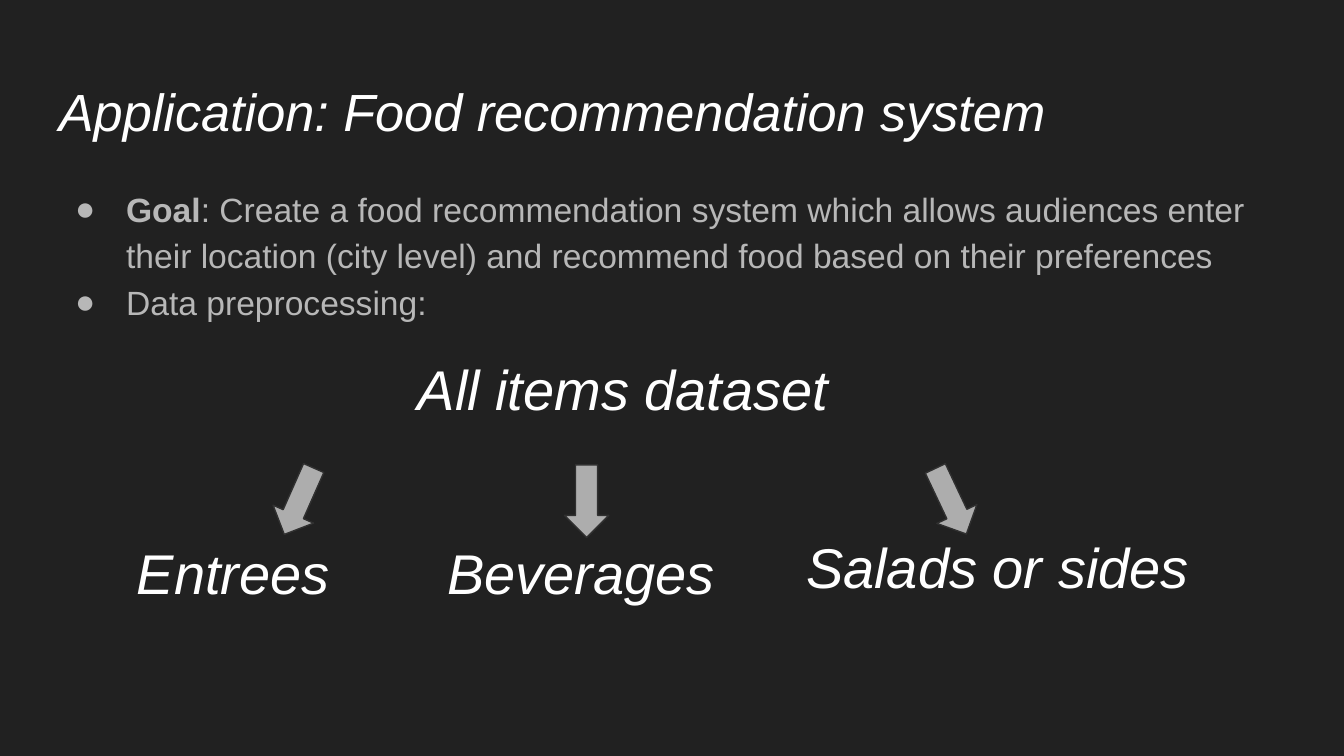
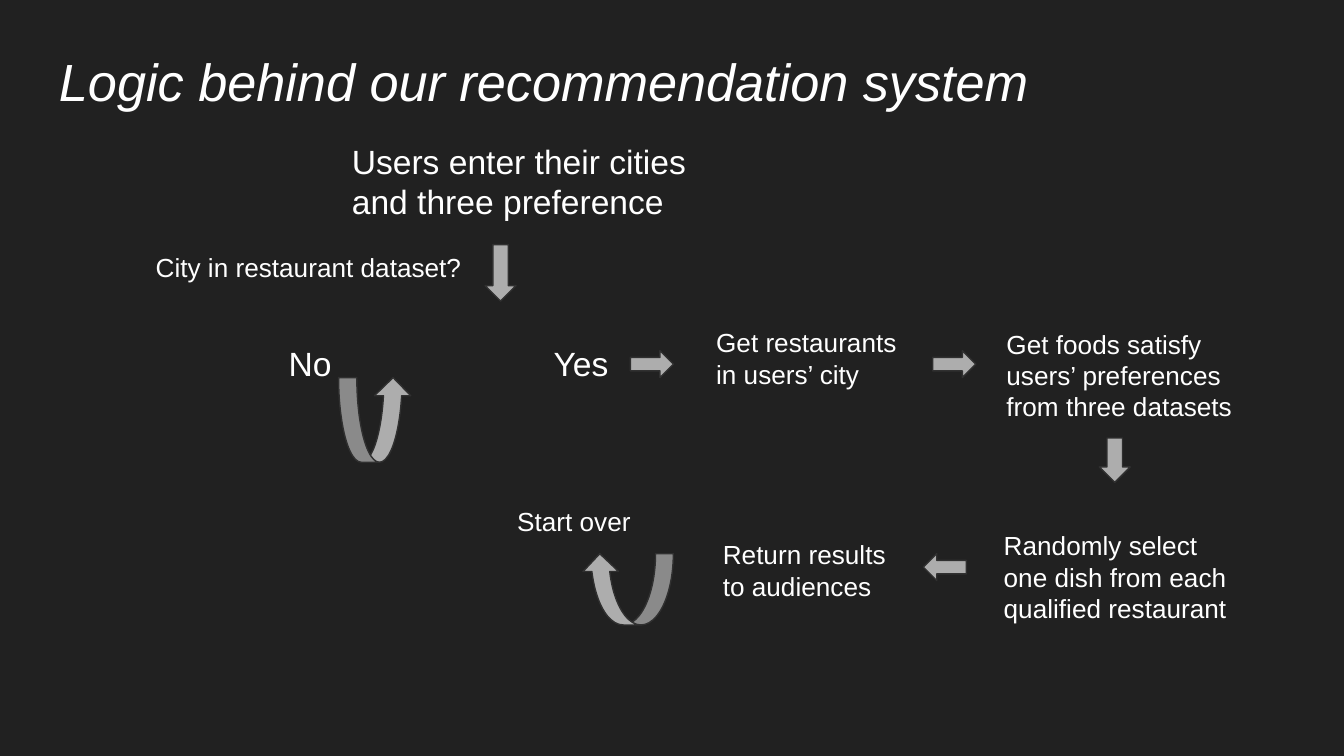
import dataclasses

import pptx
import pptx.dml.color
import pptx.enum.shapes
import pptx.enum.text
import pptx.oxml.ns
import pptx.util
from lxml import etree

PX = pptx.util.Inches(1) // 100
ARROW = pptx.enum.shapes.MSO_SHAPE


@dataclasses.dataclass(frozen=True)
class Theme:
    font: str = "Arial"
    background: str = "212121"
    heading: str = "FFFFFF"
    body: str = "B7B7B7"
    arrow: str = "ADADAD"
    outline: str = "303030"
    title_size: int = 28
    item_size: int = 30
    body_size: int = 18
    step_size: int = 14
    outline_width: float = 0.75


@dataclasses.dataclass(frozen=True)
class Box:
    left: int
    top: int
    width: int
    height: int

    def inside(self, left, top, width, height):
        """A box whose corner is measured from this one's corner."""
        return Box(self.left + left, self.top + top, width, height)

    def emu(self):
        return [length * PX for length in dataclasses.astuple(self)]


THEME = Theme()


def rgb(color):
    return pptx.dml.color.RGBColor.from_string(color)


def style_span(span, size, color, italic=False, bold=False):
    span.font.name = THEME.font
    span.font.size = pptx.util.Pt(size)
    span.font.color.rgb = rgb(color)
    span.font.italic = italic
    span.font.bold = bold


def add_frame(page, box):
    frame = page.shapes.add_textbox(*box.emu()).text_frame
    frame.word_wrap = True
    frame.auto_size = pptx.enum.text.MSO_AUTO_SIZE.NONE
    frame.margin_left = frame.margin_right = 10 * PX
    frame.margin_top = frame.margin_bottom = 10 * PX
    return frame


def add_label(page, box, text, size=THEME.step_size, italic=False):
    frame = add_frame(page, box)
    frame.text = text
    style_span(frame.paragraphs[0].runs[0], size, THEME.heading, italic)


def add_arrow(page, box, kind, rotation=0):
    arrow = page.shapes.add_shape(kind, *box.emu())
    arrow.rotation = rotation
    arrow.shadow.inherit = False
    arrow.fill.solid()
    arrow.fill.fore_color.rgb = rgb(THEME.arrow)
    arrow.line.color.rgb = rgb(THEME.outline)
    arrow.line.width = pptx.util.Pt(THEME.outline_width)


def add_bullet(para):
    properties = para._p.get_or_add_pPr()
    properties.set("marL", str(50 * PX))
    properties.set("indent", str(-38 * PX))
    tag = pptx.oxml.ns.qn
    color = etree.SubElement(properties, tag("a:buClr"))
    etree.SubElement(color, tag("a:srgbClr"), val=THEME.body)
    etree.SubElement(properties, tag("a:buFont"), typeface=THEME.font)
    etree.SubElement(properties, tag("a:buChar"), char="●")
    para.line_spacing = 1.15


def add_page(deck, title, title_top):
    page = deck.slides.add_slide(deck.slide_layouts[6])
    add_label(page, Box(34, title_top, 932, 63), title, THEME.title_size, italic=True)
    return page


def add_bullets(page, box, items):
    """Each item is a bold lead and the plain text after it."""
    frame = add_frame(page, box)
    for index, (lead, rest) in enumerate(items):
        para = frame.add_paragraph() if index else frame.paragraphs[0]
        add_bullet(para)
        for text, bold in ((lead, True), (rest, False)):
            if text:
                span = para.add_run()
                span.text = text
                style_span(span, THEME.body_size, THEME.body, bold=bold)


def add_dataset_split(page, box):
    labels = [
        ("All items dataset", (209, 0, 379, 91)),
        ("Entrees", (0, 137, 200, 71)),
        ("Beverages", (231, 137, 284, 100)),
        ("Salads or sides", (498, 132, 367, 79)),
    ]
    for text, place in labels:
        add_label(page, box.inside(*place), text, THEME.item_size, italic=True)
    for left, rotation in ((114, 23.9), (328, 0), (599, 334.7)):
        add_arrow(page, box.inside(left, 92, 33, 54), ARROW.DOWN_ARROW, rotation)


def add_city_check(page, box):
    add_label(page, box.inside(146, 0, 270, 87),
              "Users enter their cities and three preference", THEME.body_size)
    add_arrow(page, box.inside(255, 87, 23, 42), ARROW.DOWN_ARROW)
    add_label(page, box.inside(0, 82, 255, 52), "City in restaurant dataset?")
    add_label(page, box.inside(99, 150, 84, 42), "No", THEME.body_size)
    add_label(page, box.inside(296, 150, 68, 52), "Yes", THEME.body_size)
    add_arrow(page, box.inside(146, 186, 54, 63), ARROW.CURVED_UP_ARROW)


def add_selection_steps(page, box):
    steps = [
        ("Get restaurants in users’ city", (54, 0, 159, 76)),
        ("Get foods satisfy users’ preferences from three datasets", (270, 1, 192, 63)),
        ("Randomly select one dish from each qualified restaurant", (268, 151, 197, 76)),
        ("Return results to audiences", (59, 158, 147, 76)),
    ]
    for text, place in steps:
        add_label(page, box.inside(*place), text)
    for left in (0, 225):
        add_arrow(page, box.inside(left, 28, 32, 20), ARROW.RIGHT_ARROW)
    add_arrow(page, box.inside(349, 93, 23, 33), ARROW.DOWN_ARROW)
    add_arrow(page, box.inside(218, 179, 32, 20), ARROW.LEFT_ARROW)


def add_restart(page, box):
    add_label(page, box.inside(0, 0, 120, 52), "Start over")
    add_arrow(page, box.inside(58, 46, 68, 53), ARROW.CURVED_DOWN_ARROW, 180)


def build_application(deck):
    page = add_page(deck, "Application: Food recommendation system", 49)
    add_bullets(page, Box(34, 126, 932, 374), [
        ("Goal", ": Create a food recommendation system which allows audiences enter "
                 "their location (city level) and recommend food based on their preferences"),
        ("", "Data preprocessing:"),
    ])
    add_dataset_split(page, Box(92, 254, 865, 237))


def build_logic(deck):
    page = add_page(deck, "Logic behind our recommendation system", 27)
    add_city_check(page, Box(106, 95, 416, 249))
    add_selection_steps(page, Box(469, 233, 465, 234))
    add_restart(page, Box(375, 366, 126, 99))


def main():
    deck = pptx.Presentation()
    deck.slide_width = 1000 * PX
    deck.slide_height = deck.slide_width * 9 // 16
    backdrop = deck.slide_master.background.fill
    backdrop.solid()
    backdrop.fore_color.rgb = rgb(THEME.background)
    build_application(deck)
    build_logic(deck)
    deck.save("out.pptx")


if __name__ == "__main__":
    main()
